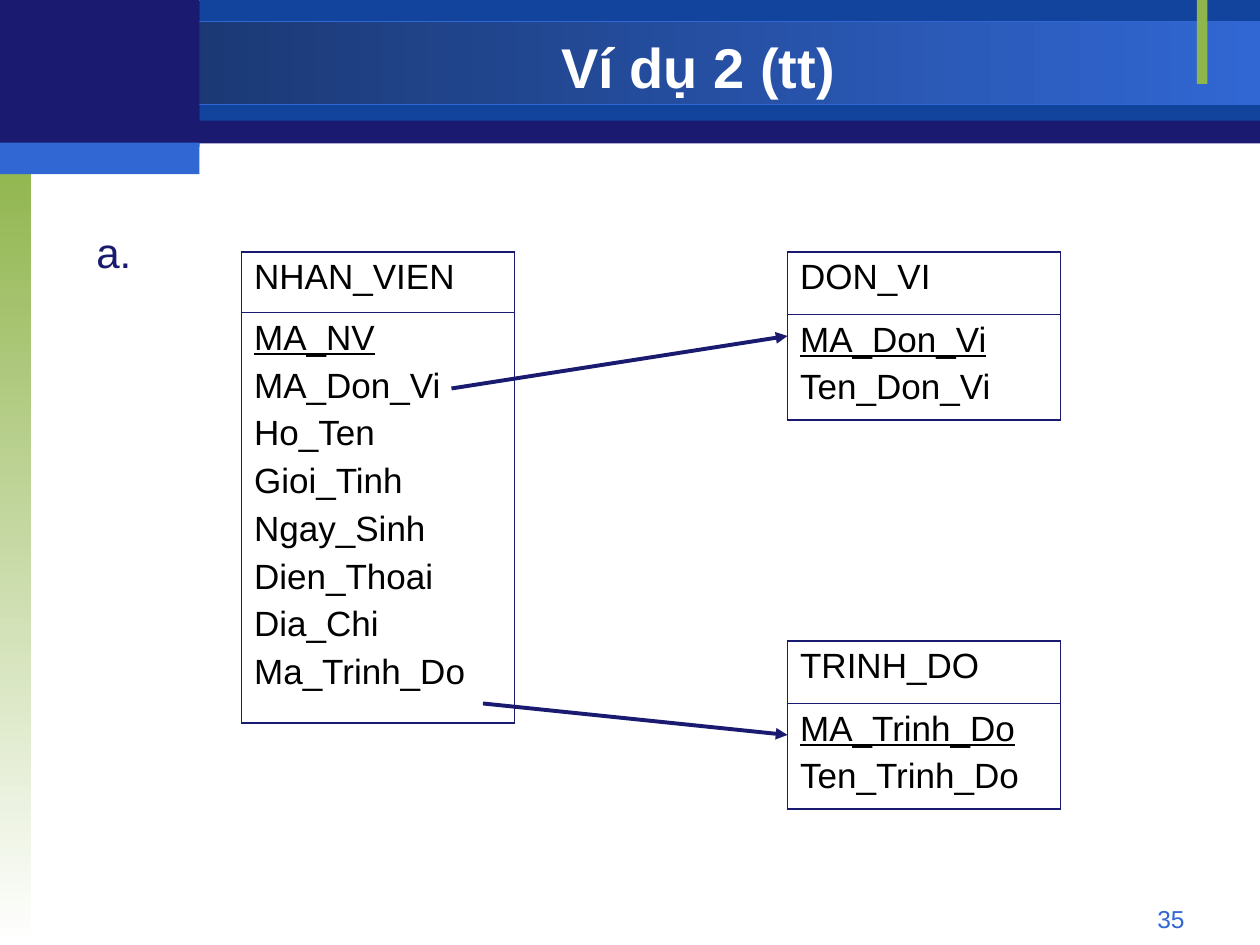
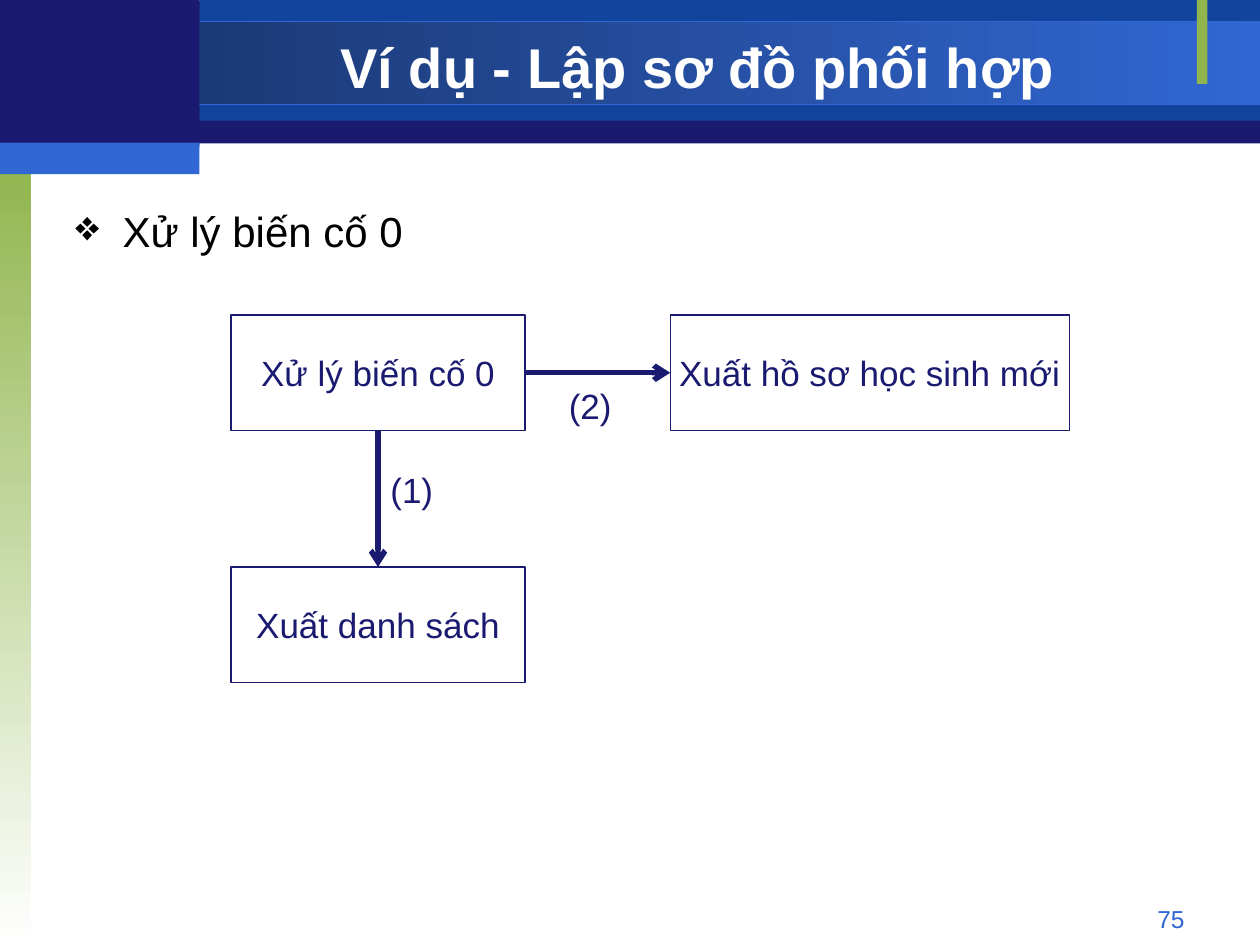
from dataclasses import dataclass

from pptx import Presentation
from pptx import util as u
from pptx.dml.color import RGBColor
from pptx.enum import shapes, text
from pptx.oxml import parse_xml
from pptx.oxml.ns import nsdecls, qn

Pt = u.Pt
ALIGN = text.PP_ALIGN
ANCHOR = text.MSO_ANCHOR


@dataclass(frozen=True)
class Theme:
    font: str = "Arial"
    navy: str = "1A1A70"
    blue: str = "12449E"
    deep: str = "173062"
    bright: str = "3167D3"
    green: str = "90B54D"
    white: str = "FFFFFF"
    black: str = "000000"
    title: int = 32
    body: int = 24
    label: int = 20
    number: int = 14


T = Theme()


def rgb(color):
    return RGBColor.from_string(color)


def xml(tag, attrs="", inner=""):
    return parse_xml(f"<a:{tag} {nsdecls('a')} {attrs}>{inner}</a:{tag}>")


def solid(color):
    return f'<a:solidFill><a:srgbClr val="{color}"/></a:solidFill>'


def write(tf, lines, size=T.label, color=T.navy, bold=False, align=ALIGN.LEFT,
          anchor=ANCHOR.TOP, wrap=True, gap=0, underline_first=False, bullet=None):
    """Fill a text frame with one paragraph per line."""
    if wrap is not None:
        tf.word_wrap = wrap
    if anchor is not None:
        tf.vertical_anchor = anchor
    for i, line in enumerate(lines):
        p = tf.paragraphs[0] if i == 0 else tf.add_paragraph()
        if bullet:
            pPr = p._p.get_or_add_pPr()
            pPr.set("marL", str(Pt(27)))
            pPr.set("indent", str(Pt(-27)))
            pPr.append(xml("buClr", inner=f'<a:srgbClr val="{color}"/>'))
            pPr.append(xml("buChar", f'char="{bullet}"'))
            p.line_spacing = 1.2
        p.alignment = align
        if i:
            p.space_before = Pt(gap)
        r = p.add_run()
        r.text = line
        r.font.name, r.font.size, r.font.bold = T.font, Pt(size), bold
        r.font.color.rgb = rgb(color)
        if underline_first and i == 0:
            r.font.underline = True


def add_text(s, box, line, **fmt):
    sp = s.shapes.add_textbox(*map(Pt, box))
    write(sp.text_frame, [line], **fmt)
    return sp


def add_rect(s, box, fill=None, line=None, angle=0):
    """Rectangle; a pair of colours as fill makes a gradient."""
    sp = s.shapes.add_shape(shapes.MSO_SHAPE.RECTANGLE, *map(Pt, box))
    sp.shadow.inherit = False
    if fill is None:
        sp.fill.background()
    elif isinstance(fill, tuple):
        sp.fill.gradient()
        sp.fill.gradient_angle = angle
        for stop, color in zip(sp.fill.gradient_stops, fill):
            stop.color.rgb = rgb(color)
    else:
        sp.fill.solid()
        sp.fill.fore_color.rgb = rgb(fill)
    if line:
        sp.line.color.rgb = rgb(line)
        sp.line.width = Pt(0.75)
    else:
        sp.line.fill.background()
    return sp


def add_arrow(s, start, end, width, head):
    c = s.shapes.add_connector(shapes.MSO_CONNECTOR.STRAIGHT, *map(Pt, start + end))
    c.line.color.rgb = rgb(T.navy)
    c.line.width = Pt(width)
    spPr = c._element.spPr
    spPr.find(qn("a:ln")).append(xml("tailEnd", f'type="{head}"'))
    spPr.append(xml("effectLst"))
    return c


def join(s, source, side, target, target_side):
    c = add_arrow(s, (0, 0), (1, 1), 3, "arrow")
    c.begin_connect(source, side)
    c.end_connect(target, target_side)


def add_frame(prs, title, number):
    """Blank slide with header bands, side strip, title and page number."""
    s = prs.slides.add_slide(prs.slide_layouts[6])
    w, h, corner = 720, 540, 114
    # Header bands
    add_rect(s, (0, 0.5, w, 81.5), T.navy)
    add_rect(s, (corner, 0, w - corner, 69), T.blue)
    add_rect(s, (0, 12.25, w, 47.5), (T.deep, T.bright), T.bright)
    # Side strip and green tab
    add_rect(s, (0, 90, 18, h - 90), (T.green, T.white), angle=270)
    add_rect(s, (684, 0, 6, 48), T.green)
    # Corner block
    add_rect(s, (0, 0, corner, 84), T.navy)
    add_rect(s, (0, 81.5, corner, 18), T.bright)
    # Page number and title
    add_text(s, (516, 513, 168, 19.5), number, size=T.number, color=T.bright,
             align=ALIGN.RIGHT)
    add_text(s, (corner, 16.5, 570, 42), title, size=T.title, color=T.white,
             bold=True, align=ALIGN.CENTER, anchor=ANCHOR.MIDDLE)
    return s


def set_borders(cell, top, bottom):
    tcPr = cell._tc.get_or_add_tcPr()
    sides = {"lnL": 1.08, "lnR": 1.08, "lnT": top, "lnB": bottom}
    for i, (side, width) in enumerate(sides.items()):
        tcPr.insert(i, xml(side, f'w="{int(Pt(width))}"', solid(T.navy)))


def add_entity(s, left, top, heights, name, fields):
    """Entity table: name above, fields below with the key underlined."""
    frame = s.shapes.add_table(2, 1, Pt(left), Pt(top), Pt(156), Pt(sum(heights)))
    table = frame.table
    table.first_row = table.horz_banding = False
    for i, (height, lines) in enumerate(zip(heights, ([name], fields))):
        table.rows[i].height = Pt(height)
        cell = table.cell(i, 0)
        cell.fill.background()
        set_borders(cell, *((1.08, 0.45) if i == 0 else (0.45, 1.08)))
        write(cell.text_frame, lines, color=T.black, gap=5, wrap=None, anchor=None,
              underline_first=i == 1)


def entity_slide(prs):
    s = add_frame(prs, "Ví dụ 2 (tt)", "35")
    left, right, top = 138, 450, 144
    # Entities
    add_entity(s, left, top, (34.5, 234.5), "NHAN_VIEN",
               ["MA_NV", "MA_Don_Vi", "Ho_Ten", "Gioi_Tinh", "Ngay_Sinh",
                "Dien_Thoai", "Dia_Chi", "Ma_Trinh_Do"])
    lookups = [(top, "DON_VI", "Don_Vi"), (366.25, "TRINH_DO", "Trinh_Do")]
    for y, name, field in lookups:
        add_entity(s, right, y, (35.5, 60.5), name, [f"MA_{field}", f"Ten_{field}"])
    # References from foreign keys
    add_arrow(s, (258, 222), (right, 192), 2.25, "triangle")
    add_arrow(s, (276, 402), (right, 420), 2.25, "triangle")
    add_text(s, (48, 126, 42, 36), "a.", size=T.body)


def add_step(s, left, top, width, label):
    sp = add_rect(s, (left, top, width, 66), line=T.navy)
    write(sp.text_frame, [label], align=ALIGN.CENTER, anchor=ANCHOR.MIDDLE, wrap=False)
    return sp


def event_slide(prs):
    s = add_frame(prs, "Ví dụ - Lập sơ đồ phối hợp", "75")
    add_text(s, (36, 108, 648, 396), "Xử lý biến cố 0", size=T.body, color=T.black,
             align=ALIGN.JUSTIFY, bullet="❖")
    # Steps
    left, top = 132, 180
    event = add_step(s, left, top, 168, "Xử lý biến cố 0")
    record = add_step(s, left + 251, top, 228, "Xuất hồ sơ học sinh mới")
    listing = add_step(s, left, top + 144, 168, "Xuất danh sách")
    # Numbered flows
    join(s, event, 3, record, 1)
    join(s, event, 2, listing, 0)
    add_text(s, (left + 84, top + 84, 42, 31.5), "(1)")
    add_text(s, (left + 186, top + 36, 42, 31.5), "(2)")


def main():
    prs = Presentation()
    prs.slide_width, prs.slide_height = Pt(720), Pt(540)
    entity_slide(prs)
    event_slide(prs)
    prs.save("out.pptx")


if __name__ == "__main__":
    main()
